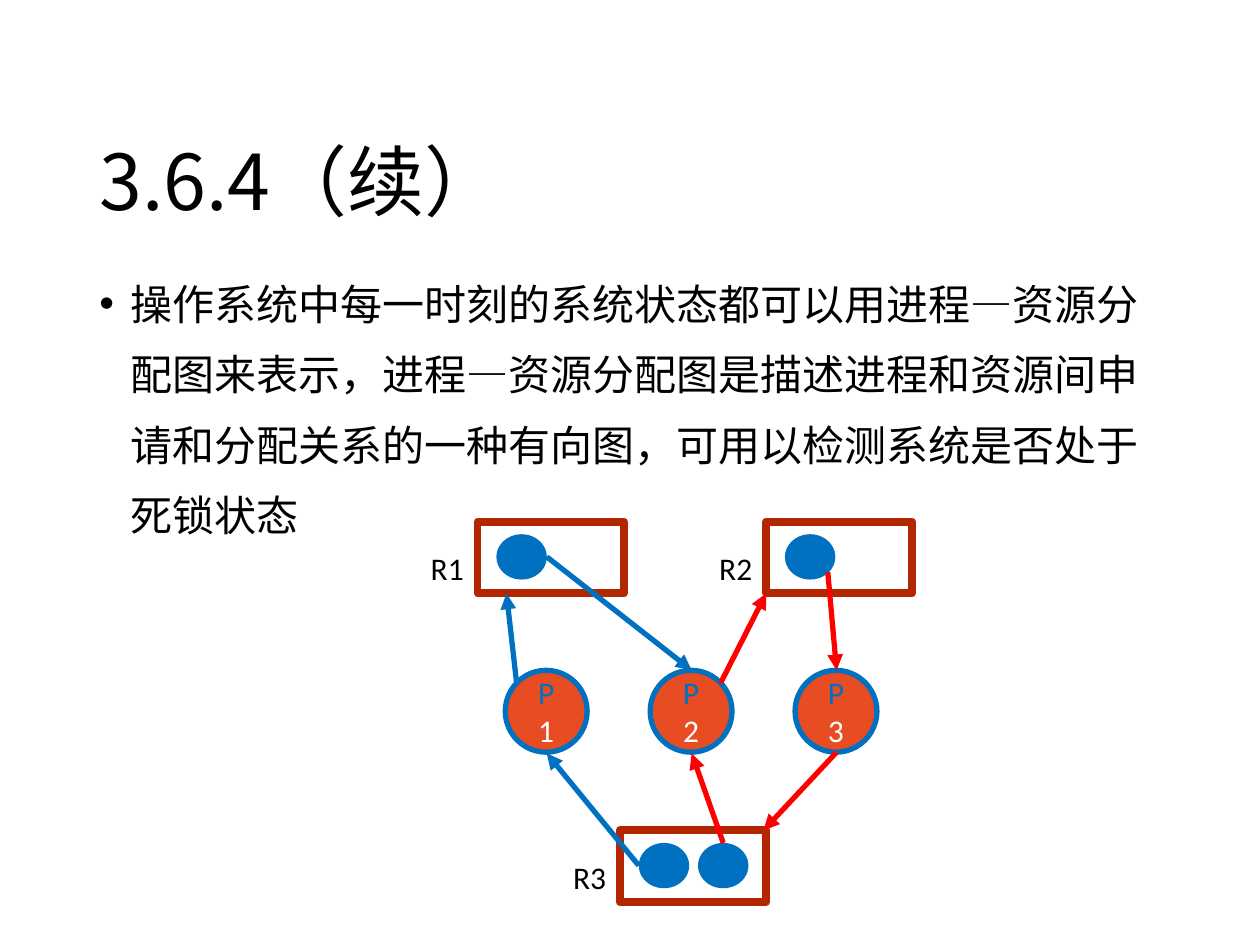
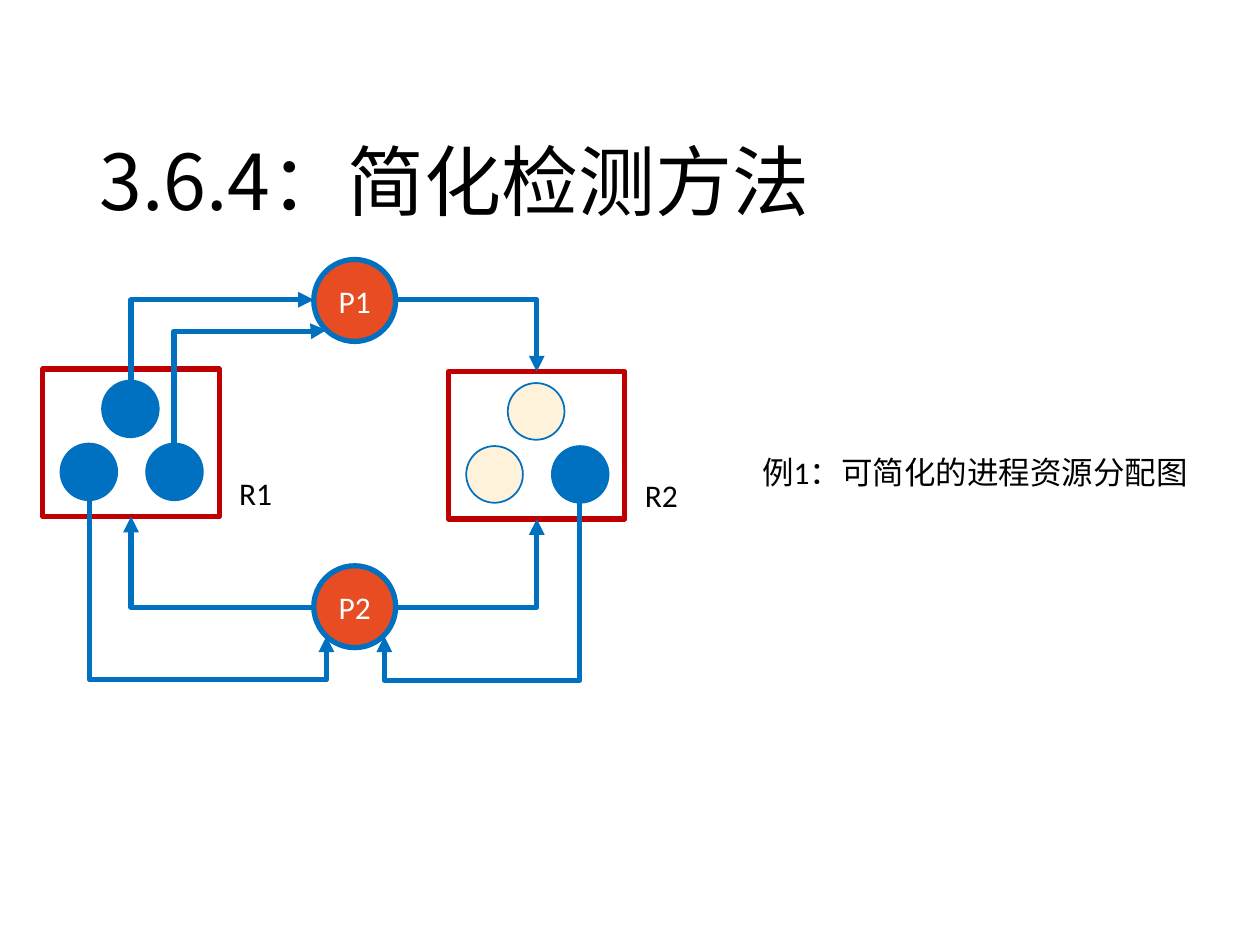
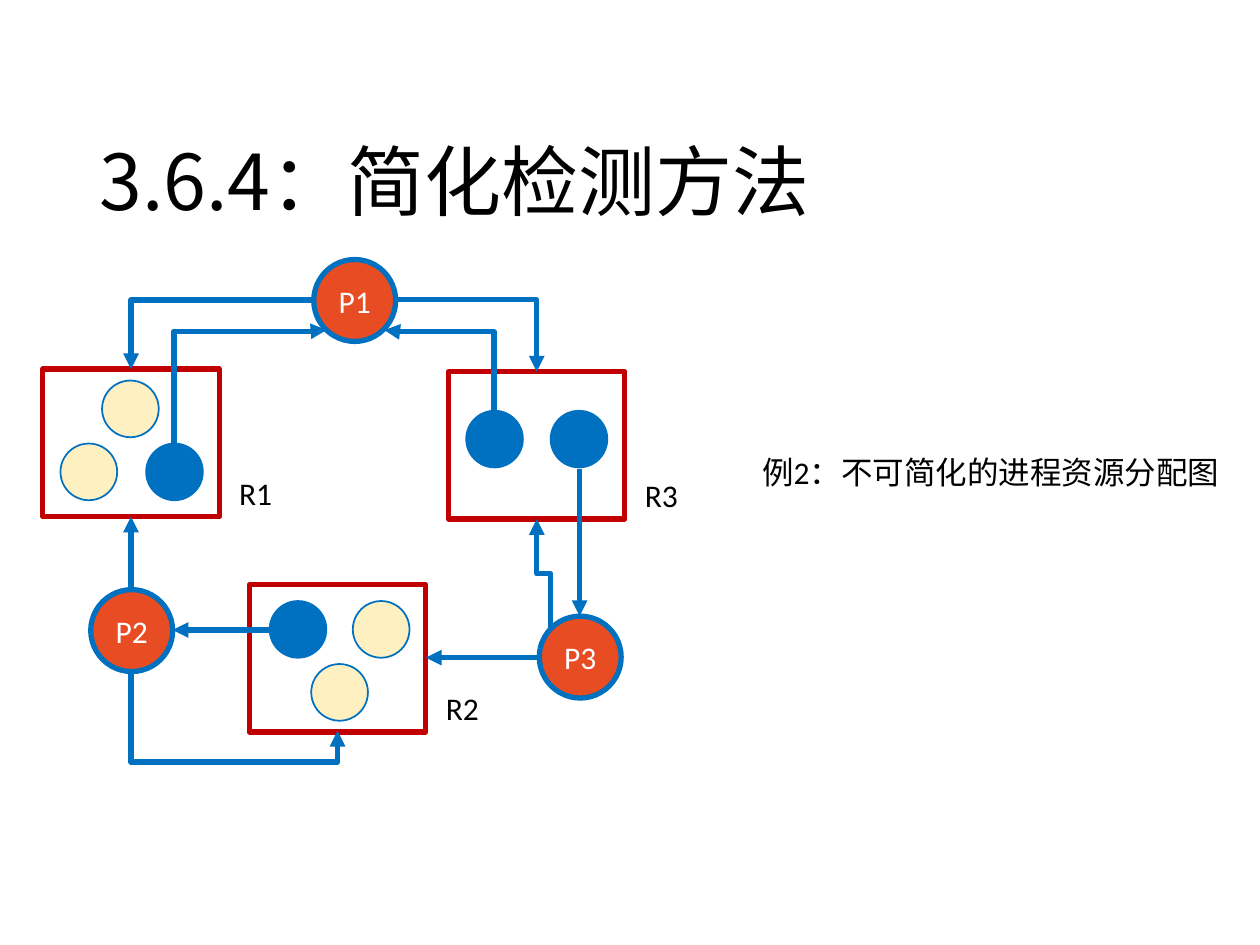
from dataclasses import dataclass

from lxml import etree
from pptx import Presentation
from pptx.dml.color import RGBColor
from pptx.enum import shapes, text
from pptx.oxml import ns
from pptx.util import Inches, Pt


@dataclass(frozen=True)
class Theme:
    black: str = "000000"
    white: str = "FFFFFF"
    blue: str = "0070C0"
    red: str = "FF0000"
    rust: str = "B22600"
    wine: str = "C00000"
    flame: str = "E84C22"
    cream: str = "FFF2DA"
    sand: str = "FFF0C2"
    latin: str = "Calibri"
    asian: str = "Noto Sans CJK SC"
    head: int = 44
    body: int = 24
    small: int = 18
    thin: float = 1
    thick: float = 3
    heavy: float = 4.5


T = Theme()
COLS, ROWS = 100, 75
WIDE, TALL = Inches(10), Inches(7.5)
NODE = 6.5
DOT = 4.5
BOX = 14, 11.7
TRIO = (4.7, 0.9), (1.4, 5.9), (8.2, 5.9)
PAIR = (1.4, 3.1), (8.1, 3.1)
FLIP = (1.6, 1.3), (8.2, 1.3), (4.9, 6.3)


def put(item, values):
    for name, value in values.items():
        setattr(item, name, value)


def add(parent, tag, **values):
    return etree.SubElement(parent, ns.qn(tag), values)


class Deck:
    def __init__(self):
        self.prs = Presentation()
        put(self.prs, {"slide_width": WIDE, "slide_height": TALL})

    def page(self, title):
        self.slide = self.prs.slides.add_slide(self.prs.slide_layouts[6])
        self.text((6.9, 4, 86.2, 14.5), title, T.head, T.asian,
                  frame={"vertical_anchor": text.MSO_ANCHOR.BOTTOM},
                  para={"line_spacing": 0.9})

    def grid(self, *spots):
        units = WIDE / COLS, TALL / ROWS
        return [round(spot * units[n % 2]) for n, spot in enumerate(spots)]

    def run(self, para, words, size, font, color):
        run = para.add_run()
        run.text = words
        put(run.font, {"size": Pt(size), "name": font})
        run.font.color.rgb = RGBColor.from_string(color)
        add(run.font._element, "a:ea", typeface=T.asian)

    def text(self, area, words, size=T.small, font=T.latin, wrap=True,
             frame=None, para=None, bullet=False):
        body = self.slide.shapes.add_textbox(*self.grid(*area)).text_frame
        put(body, {"word_wrap": wrap, **(frame or {})})
        line = body.paragraphs[0]
        if bullet:
            props = line._p.get_or_add_pPr()
            props.set("marL", str(Inches(0.25)))
            props.set("indent", str(-Inches(0.25)))
            add(props, "a:buFont", typeface="Arial")
            add(props, "a:buChar", char="•")
        put(line, para or {})
        self.run(line, words, size, font, T.black)

    def shape(self, kind, area, fill=None, edge=None, width=T.thick):
        item = self.slide.shapes.add_shape(kind, *self.grid(*area))
        item.shadow.inherit = False
        for paint, color in ((item.fill, fill), (item.line.fill, edge)):
            if color:
                paint.solid()
                paint.fore_color.rgb = RGBColor.from_string(color)
            else:
                paint.background()
        if edge:
            item.line.width = Pt(width)
        return item

    def rect(self, *args):
        return self.shape(shapes.MSO_SHAPE.RECTANGLE, *args)

    def oval(self, *args):
        return self.shape(shapes.MSO_SHAPE.OVAL, *args)

    def node(self, left, top, runs, tight=True):
        frame = self.oval((left, top, NODE, NODE), T.flame, T.blue).text_frame
        if tight:
            put(frame, {"margin_left": Inches(0.04), "margin_right": Inches(0.04)})
        frame.vertical_anchor = text.MSO_ANCHOR.MIDDLE
        line = frame.paragraphs[0]
        line.alignment = text.PP_ALIGN.CENTER
        for words, color in runs:
            self.run(line, words, T.small, T.latin, color)

    def label(self, left, top, name):
        self.text((left, top, 4.7, 4), name, wrap=False)

    def slot(self, left, top, name, count):
        self.rect((left, top, 11.6, 5.7), T.white, T.rust, T.heavy)
        self.label(left - 4.7, top + 1.7, name)
        for n in range(count):
            self.oval((left + 1.5 + 4.7 * n, top + 1, 4, 3.6), T.blue)

    def pool(self, left, top, name, spots, fills):
        self.rect((left, top, *BOX), None, T.wine)
        for (x, y), fill in zip(spots, fills):
            self.oval((left + x, top + y, DOT, DOT), fill, T.blue, T.thin)
        self.label(left + 14.6, top + 7.8, name)

    def arrow(self, start, end, color=T.blue, kind=shapes.MSO_CONNECTOR.STRAIGHT):
        link = self.slide.shapes.add_connector(kind, *self.grid(*start, *end))
        link.line.color.rgb = RGBColor.from_string(color)
        link.line.width = Pt(T.thick)
        add(link.line._ln, "a:tailEnd", type="triangle")
        add(link._element.spPr, "a:effectLst")
        return link

    def bend(self, start, end, down=False, bow=None):
        run, rise = end[0] - start[0], end[1] - start[1]
        mid = [(a + b) / 2 for a, b in zip(start, end)]
        if down:
            turn, span = (90, (rise, -run)) if run * rise < 0 else (270, (-rise, run))
        else:
            turn, span = (180, (-run, -rise)) if run < 0 else (0, (run, rise))
        first, last = ([m + sign * s / 2 for m, s in zip(mid, span)]
                       for sign in (-1, 1))
        link = self.arrow(first, last, kind=shapes.MSO_CONNECTOR.ELBOW)
        props = link._element.spPr
        props.find(ns.qn("a:xfrm")).set("rot", str(turn * 60000))
        form = props.find(ns.qn("a:prstGeom"))
        form.set("prst", "bentConnector3" if bow else "bentConnector2")
        if bow:
            guides = form.find(ns.qn("a:avLst"))
            if guides is None:
                guides = add(form, "a:avLst")
            add(guides, "a:gd", name="adj1", fmla=f"val {round(bow * 100000)}")

    def note(self, words, width):
        self.text((59.5, 35.5, width, 4), words)


def state(deck):
    deck.page("3.6.4（续）")
    deck.text((6.9, 20, 86.2, 24.6),
              "操作系统中每一时刻的系统状态都可以用进程—资源分配图来表示，"
              "进程—资源分配图是描述进程和资源间申请和分配关系的一种有向图，"
              "可用以检测系统是否处于死锁状态",
              T.body, T.asian, para={"line_spacing": 1.4}, bullet=True)
    for slot in ((37.9, 41.4, "R1", 1), (60.8, 41.4, "R2", 1), (49.2, 65.9, "R3", 2)):
        deck.slot(*slot)
    for n in range(3):
        deck.node(40.1 + 11.5 * n, 53.2,
                  (("P ", T.blue), (str(n + 1), T.white)), tight=False)
    links = {
        T.blue: (((41, 54.2), (40.2, 47.1)), ((43.4, 44.2), (54.9, 53.2)),
                 ((50.7, 68.7), (43.4, 59.8))),
        T.red: (((57.4, 66.9), (54.9, 59.8)), ((57.2, 54.2), (60.8, 47.1)),
                ((65.7, 45.4), (66.4, 53.2)), ((66.4, 59.7), (60.6, 65.9))),
    }
    for color, pairs in links.items():
        for pair in pairs:
            deck.arrow(*pair, color)


def sample(deck, pools, nodes, bends, note, width):
    deck.page("3.6.4：简化检测方法")
    for pool in pools:
        deck.pool(*pool)
    for left, top, name in nodes:
        deck.node(left, top, ((name, T.white),))
    deck.bend((13.8, 35.2), (25.9, 26.2), True, 0.99)
    deck.bend((31.4, 23.8), (42.6, 29.5))
    for bend in bends:
        deck.bend(*bend)
    deck.note(note, width)


def main():
    deck = Deck()
    state(deck)
    sample(deck,
           ((3.4, 29.3, "R1", TRIO, (T.blue,) * 3),
            (35.6, 29.5, "R2", TRIO, (T.cream, T.cream, T.blue))),
           ((24.9, 20.6, "P1"), (24.9, 44.9, "P2")),
           (((10.4, 30.2), (24.9, 23.8), True),
            ((7.1, 39.7), (25.9, 50.5), True, 1.32),
            ((24.9, 48.2), (10.4, 41)),
            ((31.4, 48.2), (42.6, 41.2)),
            ((46, 39.9), (30.5, 50.5), True, 1.33)),
           "例1：可简化的进程资源分配图", 36.1)
    sample(deck,
           ((3.4, 29.3, "R1", TRIO, (T.sand, T.sand, T.blue)),
            (35.6, 29.5, "R3", PAIR, (T.blue,) * 2),
            (19.8, 46.4, "R2", FLIP, (T.blue, T.sand, T.sand))),
           ((24.9, 20.6, "P1"), (7.2, 46.8, "P2"), (42.8, 48.9, "P3")),
           (((24.9, 23.8), (10.4, 29.3)),
            ((39.2, 32.6), (30.5, 26.2), True, 0.98),
            ((10.4, 53.3), (26.8, 58), True, 1.53),
            ((43.7, 49.9), (42.6, 41.2), True, 0.5)),
           "例2：不可简化的进程资源分配图", 38.6)
    for pair in (((10.4, 46.8), (10.4, 41)), ((21.4, 50), (13.7, 50)),
                 ((42.8, 52.2), (33.8, 52.2)), ((46, 37.2), (46, 48.9))):
        deck.arrow(*pair)
    deck.prs.save("out.pptx")


if __name__ == "__main__":
    main()
